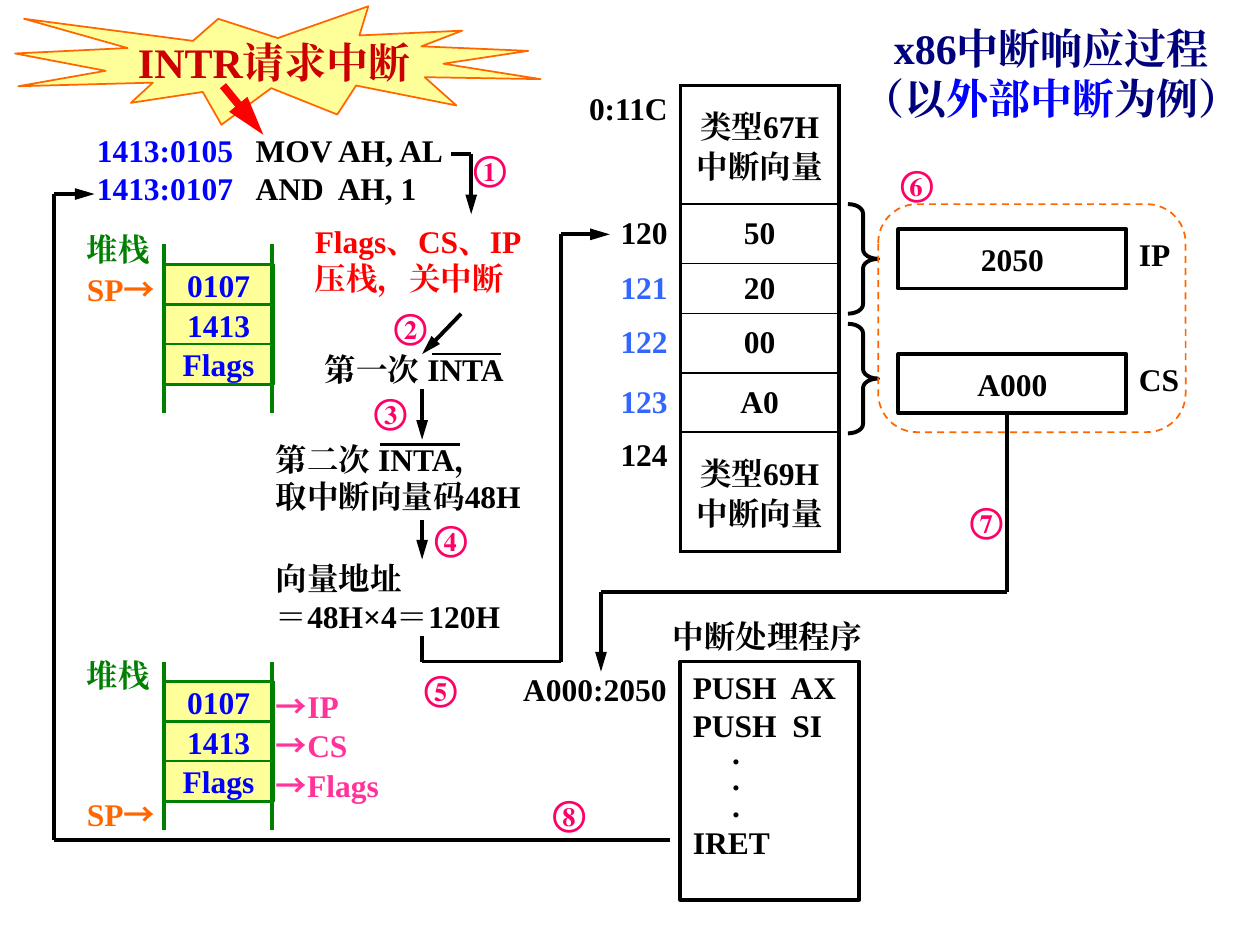
from itertools import pairwise

from lxml import etree
from pptx import Presentation
from pptx.dml.color import RGBColor
from pptx.enum.dml import MSO_LINE
from pptx.enum.shapes import MSO_CONNECTOR, MSO_SHAPE
from pptx.enum.text import MSO_ANCHOR, PP_ALIGN
from pptx.oxml.ns import qn
from pptx.util import Inches, Pt

LEFT, CENTER, RIGHT = PP_ALIGN.LEFT, PP_ALIGN.CENTER, PP_ALIGN.RIGHT
TOP, MIDDLE = MSO_ANCHOR.TOP, MSO_ANCHOR.MIDDLE
RECTANGLE, ROUNDED = MSO_SHAPE.RECTANGLE, MSO_SHAPE.ROUNDED_RECTANGLE
BURST, BRACE = MSO_SHAPE.EXPLOSION1, MSO_SHAPE.RIGHT_BRACE
STRAIGHT, DASH = MSO_CONNECTOR.STRAIGHT, MSO_LINE.DASH
LATIN_FONT, ARROW_FONT = "Times New Roman", "Noto Sans CJK SC"

COLORS = {
    "black": "000000", "yellow": "FFFF99", "orange": "FF6600", "crimson": "CC0000",
    "red": "FF0000", "navy": "00007D", "blue": "0000FF", "sky": "3366FF",
    "green": "008000", "rose": "FF0066", "pink": "FF3399",
}


def color(name):
    return RGBColor.from_string(COLORS[name])


def apply(target, values):
    for name, value in values.items():
        setattr(target, name, value)


class SlideBuilder:
    font_format = {"size": Pt(18), "bold": True, "name": LATIN_FONT}

    def __init__(self, slide):
        self.slide = slide

    def add_paragraphs(self, frame, paragraphs, ink="black", size=18, align=LEFT,
                       spacings=None):
        for index, content in enumerate(paragraphs):
            paragraph = frame.paragraphs[0] if index == 0 else frame.add_paragraph()
            paragraph.alignment = align
            if spacings:
                paragraph.line_spacing = spacings[index]
            runs = [(content, {})] if isinstance(content, str) else content
            for text, changes in runs:
                for number, line in enumerate(text.split("\n")):
                    if number:
                        paragraph.add_line_break()
                    run = paragraph.add_run()
                    run.text = line
                    values = self.font_format | {"size": Pt(size)}
                    if "name" in changes:
                        values["name"] = changes["name"]
                    apply(run.font, values)
                    run.font.color.rgb = color(changes.get("ink", ink))
                    east = etree.SubElement(run.font._element, qn("a:ea"))
                    east.set("typeface", values["name"])

    def text(self, box, *paragraphs, **style):
        shape = self.slide.shapes.add_textbox(*map(Inches, box))
        shape.text_frame.word_wrap = True
        self.add_paragraphs(shape.text_frame, paragraphs, **style)

    def shape(self, kind, box, *paragraphs, fill=None, line="black", width=2.25,
              dash=None, adjustment=None, anchor=MIDDLE, **style):
        shape = self.slide.shapes.add_shape(kind, *map(Inches, box))
        shape.shadow.inherit = False
        if fill:
            shape.fill.solid()
            shape.fill.fore_color.rgb = color(fill)
        else:
            shape.fill.background()
        shape.line.color.rgb = color(line)
        apply(shape.line, {"width": Pt(width), "dash_style": dash})
        if adjustment:
            shape.adjustments[0] = adjustment
        apply(shape.text_frame, {"word_wrap": False, "vertical_anchor": anchor})
        self.add_paragraphs(shape.text_frame, paragraphs, **style)

    def route(self, *points, ink="black", width=2.25, arrow=False):
        for start, end in pairwise(points):
            connector = self.slide.shapes.add_connector(
                STRAIGHT, *map(Inches, (*start, *end)))
            connector.line.color.rgb = color(ink)
            connector.line.width = Pt(width)
            etree.SubElement(connector._element.spPr, qn("a:effectLst"))
            if arrow and end == points[-1]:
                etree.SubElement(connector.line._get_or_add_ln(), qn("a:tailEnd"),
                                 type="triangle", w="med", len="lg")

    def borders(self, cell, **widths):
        properties = cell._tc.get_or_add_tcPr()
        for position, (side, width) in enumerate(widths.items()):
            line = etree.Element(qn(f"a:ln{side}"), w=str(Pt(width)))
            fill = etree.SubElement(line, qn("a:solidFill"))
            etree.SubElement(fill, qn("a:srgbClr"), val=COLORS["black"])
            properties.insert(position, line)

    def vector_table(self, box, widths, rows):
        table = self.slide.shapes.add_table(len(rows), 2, *map(Inches, box)).table
        apply(table, {"first_row": False, "horz_banding": False})
        for column, width in zip(table.columns, widths):
            column.width = Inches(width)
        last = len(rows) - 1
        for index, (height, address, ink, value) in enumerate(rows):
            table.rows[index].height = Inches(height)
            label, content = table.cell(index, 0), table.cell(index, 1)
            label.vertical_anchor = TOP if index in (0, last) else MIDDLE
            content.vertical_anchor = MIDDLE
            self.add_paragraphs(label.text_frame, [address], ink=ink, align=RIGHT)
            self.add_paragraphs(content.text_frame, [value], align=CENTER,
                                spacings=[1.15 if "\n" in value else 1])
            for cell in (label, content):
                cell.fill.background()
            self.borders(label, R=2.25)
            self.borders(content, L=2.25, R=2.25, T=1 if index else 2.25,
                         B=2.25 if index == last else 1)

    def stack(self, top, label_top, pointer_top):
        for row, value in enumerate(("0107", "1413", "Flags")):
            self.shape(RECTANGLE, (1.3, top + 0.16 + row * 0.315, 0.87, 0.32), value,
                       fill="yellow", line="green", width=1.5, ink="blue", align=CENTER)
        for left in (1.3, 2.16):
            self.route((left, top), (left, top + 1.34), ink="green")
        self.text((0.59, label_top, 0.79, 0.4), "堆栈", ink="green")
        self.text((0.59, pointer_top, 0.79, 0.4),
                  [("SP", {}), ("→", {"name": ARROW_FONT})], ink="orange")


def main():
    presentation = Presentation()
    presentation.slide_width, presentation.slide_height = Inches(10), Inches(7.5)
    builder = SlideBuilder(presentation.slides.add_slide(presentation.slide_layouts[6]))

    builder.shape(BURST, (0.12, 0.05, 4.17, 0.94), "INTR请求中断", fill="yellow",
                  line="orange", width=1, ink="crimson", size=24, align=CENTER)
    builder.text((6.73, 0.13, 3.23, 0.91),
                 [("x86中断响应过程\n（以", {}), ("外部中断", {"ink": "blue"}), ("为例）", {})],
                 ink="navy", size=24, align=CENTER)

    builder.vector_table((4.53, 0.68, 2.13, 3.71), (0.87, 1.26), (
        (0.94, "0:11C", "black", "类型67H\n中断向量"),
        (0.47, "120", "black", "50"),
        (0.39, "121", "sky", "20"),
        (0.47, "122", "sky", "00"),
        (0.47, "123", "sky", "A0"),
        (0.95, "124", "black", "类型69H\n中断向量"),
    ))

    builder.shape(RECTANGLE, (5.4, 5.25, 1.42, 1.89), "PUSH  AX", "PUSH  SI",
                  *["     ."] * 3, "IRET", anchor=TOP, spacings=[1, 1, 0.7, 0.7, 0.7, 1])
    for top, value, register in ((1.82, "2050", "IP"), (2.81, "A000", "CS")):
        builder.shape(RECTANGLE, (7.13, top, 1.81, 0.47), value, align=CENTER)
        builder.text((8.94, top, 0.55, 0.4), register)
    for top in (1.62, 2.57):
        builder.shape(BRACE, (6.73, top, 0.24, 0.87), adjustment=0.31)
    builder.shape(ROUNDED, (6.97, 1.62, 2.44, 1.81), line="orange", width=1,
                  dash=DASH, adjustment=0.17)

    builder.text((0.67, 0.99, 1.34, 0.7), "1413:0105", "1413:0107", ink="blue")
    builder.text((1.93, 0.99, 1.81, 0.7), "MOV AH, AL", "AND  AH, 1")
    builder.text((2.4, 1.71, 1.89, 0.7), "Flags、CS、IP压栈，关中断", ink="red")
    builder.text((2.48, 2.73, 1.89, 0.4), "第一次 INTA")
    builder.text((2.09, 3.44, 2.28, 0.7), "第二次 INTA，\n取中断向量码48H")
    builder.text((2.09, 4.39, 2.28, 0.7), "向量地址", "＝48H×4＝120H")
    builder.text((5.24, 4.85, 1.73, 0.4), "中断处理程序")
    builder.text((3.82, 5.27, 1.57, 0.4), "A000:2050", align=RIGHT)

    builder.stack(1.94, 1.78, 2.09)
    builder.stack(5.25, 5.16, 6.26)
    for top, width, register in ((5.4, 0.79, "IP"), (5.71, 0.79, "CS"), (6.03, 1.1, "Flags")):
        builder.text((2.09, top, width, 0.4),
                     [("→", {"name": ARROW_FONT}), (register, {})], ink="pink")

    builder.route((1.77, 0.68), (2.09, 1.07), ink="red", width=4.5, arrow=True)
    for points in (
        ((3.58, 1.22), (3.74, 1.22), (3.74, 1.7)),
        ((3.66, 2.49), (3.35, 2.81)),
        ((3.35, 3.09), (3.35, 3.49)),
        ((3.35, 4.13), (3.35, 4.44)),
        ((3.35, 5.05), (3.35, 5.25), (4.45, 5.25), (4.45, 1.86), (4.84, 1.86)),
        ((7.99, 3.28), (7.99, 4.7), (4.77, 4.7), (4.77, 5.33)),
        ((5.32, 6.67), (0.43, 6.67), (0.43, 1.54), (0.75, 1.54)),
    ):
        builder.route(*points, arrow=True)
    for left, right, top in ((3.43, 3.98, 2.81), (3.02, 3.65, 3.53)):
        builder.route((left, top), (right, top), width=1.5)

    steps = ((3.66, 1.11), (3.03, 2.37), (2.87, 3.04), (3.35, 4.05),
             (3.27, 5.24), (7.05, 1.23), (7.6, 3.91), (4.29, 6.23))
    for number, (left, top) in zip("①②③④⑤⑥⑦⑧", steps):
        builder.text((left, top, 0.55, 0.43), number, ink="rose", size=20)

    presentation.save("out.pptx")


if __name__ == "__main__":
    main()
